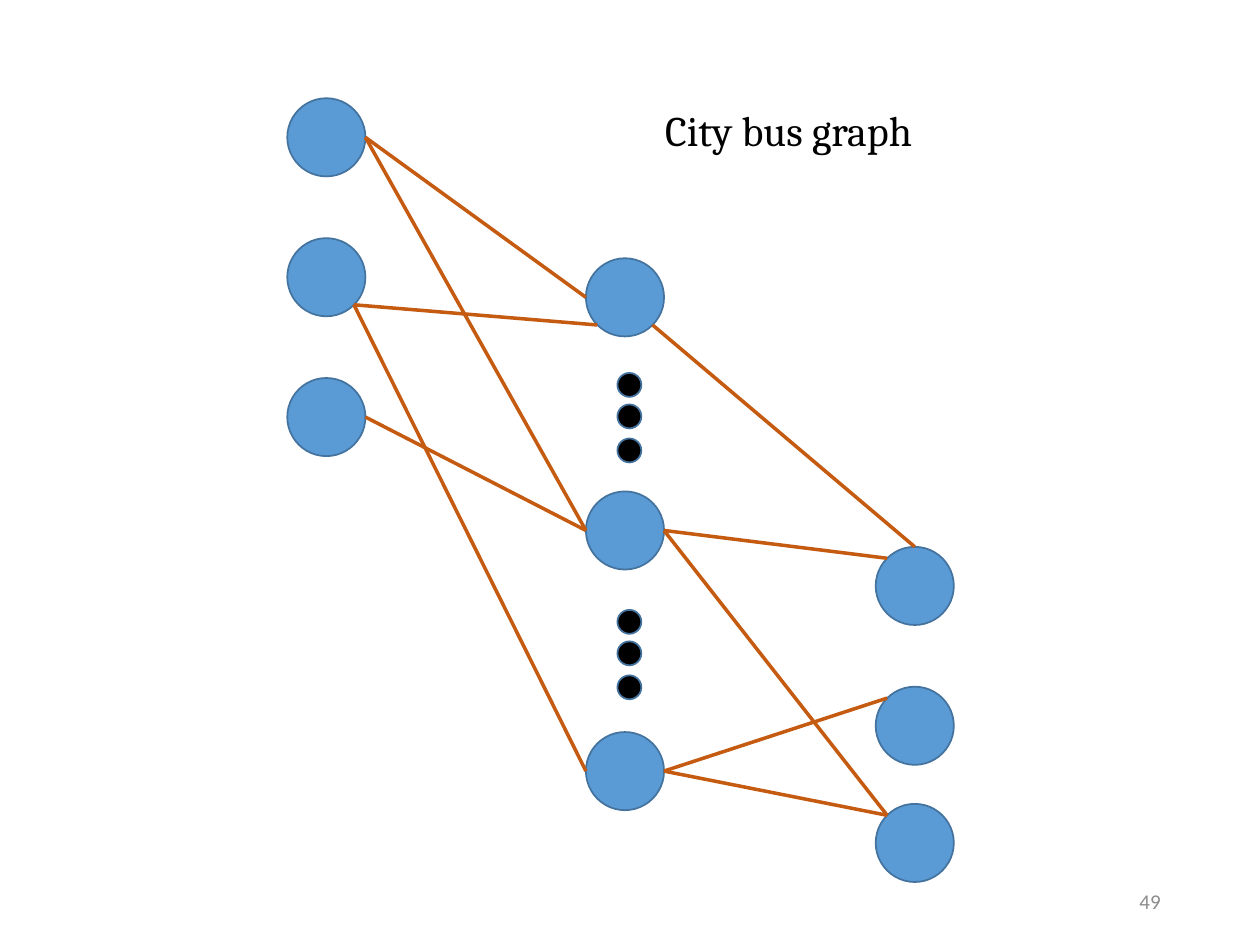
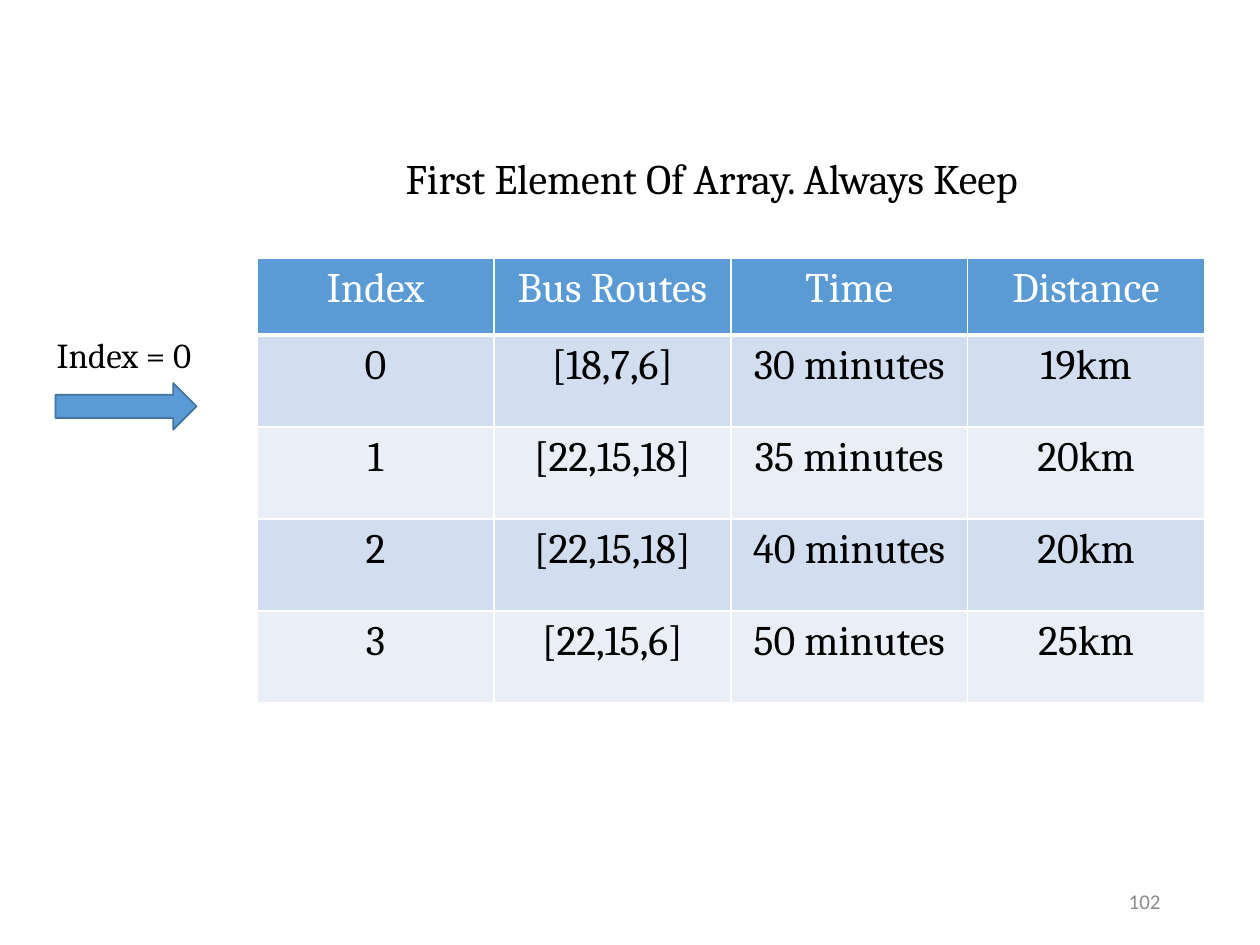
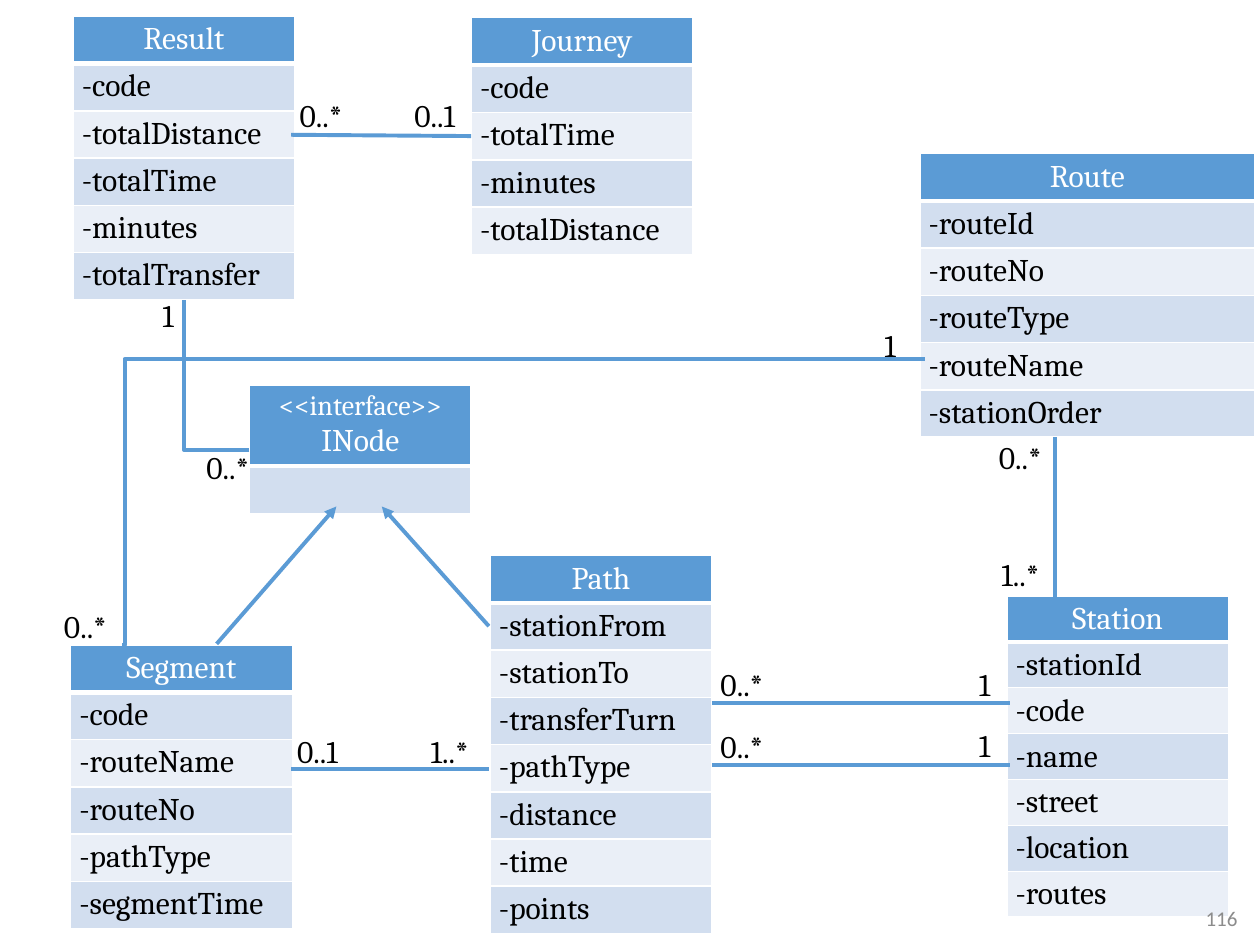
from dataclasses import dataclass
from math import cos, radians, sin

from lxml.etree import SubElement
from pptx import Presentation
from pptx.dml.color import RGBColor
from pptx.enum.shapes import MSO_CONNECTOR, MSO_SHAPE
from pptx.enum.text import MSO_ANCHOR, MSO_AUTO_SIZE, PP_ALIGN
from pptx.oxml.ns import qn
from pptx.util import Inches, Pt


@dataclass(frozen=True)
class Theme:
    blue: str = "5B9BD5"
    outline: str = "43739E"
    orange: str = "C55A11"
    bands: tuple = ("EAEFF7", "D2DEEF")
    white: str = "FFFFFF"
    black: str = "000000"
    grey: str = "8C8C8C"
    serif: str = "Cambria"
    sans: str = "Calibri"
    title: int = 24
    note: int = 20
    label: int = 18
    stereotype: int = 16
    page: int = 12


theme = Theme()


def write(frame, lines, color, font=theme.serif, align=PP_ALIGN.LEFT):
    """Fill a text frame with (text, size) lines."""
    for i, (text, size) in enumerate(lines):
        paragraph = frame.paragraphs[0] if i == 0 else frame.add_paragraph()
        paragraph.alignment = align
        run = paragraph.add_run()
        run.text = text
        run.font.name, run.font.size, run.font.bold = font, Pt(size), False
        run.font.color.rgb = RGBColor.from_string(color)


def add_line(slide, start, end, color, width, arrow=False, bend=None):
    """Draw a straight line, or an elbow turning at the share `bend` of its run."""
    kind = MSO_CONNECTOR.STRAIGHT if bend is None else MSO_CONNECTOR.ELBOW
    line = slide.shapes.add_connector(kind, *[Inches(v) for v in (*start, *end)])
    line.line.color.rgb = RGBColor.from_string(color)
    line.line.width = Pt(width)
    properties = line._element.spPr
    if arrow:
        SubElement(line.line._get_or_add_ln(), qn("a:tailEnd"), type="triangle")
    if bend is not None:
        guides = properties.find(qn("a:prstGeom")).get_or_add_avLst()
        SubElement(guides, qn("a:gd"), name="adj1", fmla=f"val {round(bend * 100000)}")
    SubElement(properties, qn("a:effectLst"))


prs = Presentation()
prs.slide_width, prs.slide_height = Inches(10), Inches(7.5)
graph, array, classes = [prs.slides.add_slide(prs.slide_layouts[6]) for _ in range(3)]

# Graph nodes by column, ellipsis dots and the index arrow
diameter, dot = 0.62, 0.19
columns = {"a": (2.28, (0.78, 1.89, 3)),
           "b": (4.65, (2.05, 3.9, 5.81)),
           "c": (6.95, (4.34, 5.45, 6.38))}
nodes = {f"{name}{i}": (left, top)
         for name, (left, tops) in columns.items()
         for i, top in enumerate(tops, 1)}
figures = [(graph, MSO_SHAPE.OVAL, *place, diameter, diameter, theme.blue)
           for place in nodes.values()]
figures += [(graph, MSO_SHAPE.OVAL, 4.9, first + step, dot, dot, theme.black)
            for first in (2.96, 4.84) for step in (0, 0.25, 0.52)]
figures.append((array, MSO_SHAPE.RIGHT_ARROW, 0.44, 3.04, 1.12, 0.37, theme.blue))
for slide, kind, *place, color in figures:
    figure = slide.shapes.add_shape(kind, *[Inches(v) for v in place])
    figure.shadow.inherit = False
    figure.fill.solid()
    figure.fill.fore_color.rgb = RGBColor.from_string(color)
    figure.line.color.rgb = RGBColor.from_string(theme.outline)
    figure.line.width = Pt(1)

# Graph edges: node and angle on its rim (clockwise from the right) at both ends
edges = [("a1", 0, "b1", 180), ("a1", 0, "b2", 180),
         ("a2", 45, "b1", 135), ("a2", 45, "b3", 180),
         ("a3", 0, "b2", 180), ("b1", 45, "c1", 270),
         ("b2", 0, "c1", 225), ("b2", 0, "c3", 225),
         ("b3", 0, "c2", 225), ("b3", 0, "c3", 225)]
radius = diameter / 2
for origin, leave, target, arrive in edges:
    ends = [(nodes[node][0] + radius * (1 + cos(radians(angle))),
             nodes[node][1] + radius * (1 + sin(radians(angle))))
            for node, angle in ((origin, leave), (target, arrive))]
    add_line(graph, *ends, theme.orange, 2)

# Tables: slide, left, top, column width, header height, row height, margins, rows
routes = [["Index", "Bus Routes", "Time", "Distance"],
          ["0", "[18,7,6]", "30 minutes", "19km"],
          ["1", "[22,15,18]", "35 minutes", "20km"],
          ["2", "[22,15,18]", "40 minutes", "20km"],
          ["3", "[22,15,6]", "50 minutes", "25km"]]
tables = [(array, 2.04, 2.05, 1.88, 0.61, 0.73, (0.1, 0.05, 0.1, 0.05),
           theme.title, PP_ALIGN.CENTER, routes)]
entities = [
    (7.99, 4.73, 1.76, 2.55, "Station",
     "-stationId -code -name -street -location -routes"),
    (3.89, 4.41, 1.76, 3, "Path",
     "-stationFrom -stationTo -transferTurn -pathType -distance -time -points"),
    (7.3, 1.22, 2.66, 2.25, "Route",
     "-routeId -routeNo -routeType -routeName -stationOrder"),
    (0.56, 5.12, 1.76, 2.25, "Segment",
     "-code -routeName -routeNo -pathType -segmentTime"),
    (3.74, 0.14, 1.76, 1.88, "Journey",
     "-code -totalTime -minutes -totalDistance"),
    (0.58, 0.13, 1.76, 2.25, "Result",
     "-code -totalDistance -totalTime -minutes -totalTransfer"),
]
inset = (0.07, 0.04, 0.07, 0.03)
for left, top, width, height, name, fields in entities:
    rows = [[name]] + [[field] for field in fields.split()]
    step = height / len(rows)
    tables.append((classes, left, top, width, step, step, inset,
                   theme.label, PP_ALIGN.LEFT, rows))
tables.append((classes, 1.98, 3.06, 1.76, 0.64, 0.38, inset, theme.label,
               PP_ALIGN.LEFT, [["<<interface>>\nINode"], [""]]))

for slide, left, top, width, header, step, margins, size, align, rows in tables:
    count = len(rows[0])
    height = header + step * (len(rows) - 1)
    table = slide.shapes.add_table(
        len(rows), count, Inches(left), Inches(top),
        Inches(width * count), Inches(height)).table
    for r, values in enumerate(rows):
        table.rows[r].height = Inches(header if r == 0 else step)
        for c, value in enumerate(values):
            cell = table.cell(r, c)
            (cell.margin_left, cell.margin_top,
             cell.margin_right, cell.margin_bottom) = [Inches(m) for m in margins]
            heavy = {0: "lnB", 1: "lnT"}.get(r)
            for side in ("lnL", "lnR", "lnT", "lnB"):
                border = SubElement(cell._tc.get_or_add_tcPr(), qn(f"a:{side}"),
                                    w=str(Pt(3 if side == heavy else 1)))
                fill = SubElement(border, qn("a:solidFill"))
                SubElement(fill, qn("a:srgbClr"), val=theme.white)
            cell.fill.solid()
            cell.fill.fore_color.rgb = RGBColor.from_string(
                theme.bands[r % 2] if r else theme.blue)
            if value:
                lines = [(text, theme.stereotype if text.startswith("<<") else size)
                         for text in value.split("\n")]
                write(cell.text_frame, lines, theme.black if r else theme.white,
                      align=align if r else PP_ALIGN.CENTER)

# Class relations: start, end, arrowhead, bend
relations = [
    ((5.21 + 0.44, 5.58), (8.02, 5.58), False, None),
    ((5.21 + 0.44, 6.07), (8.02, 6.07), False, None),
    ((8.37, 3.47), (8.37, 4.76), False, None),
    ((1.98, 3.57), (1.46, 2.38), False, 1),
    ((2.31, 1.07), (3.74, 1.08), False, None),
    ((1.72, 5.11), (2.67, 4.02), True, None),
    ((7.34, 2.85), (0.97, 5.12), False, 0.997),
    ((3.88, 4.97), (3.03, 4.02), True, None),
    ((2.31, 6.1), (3.88, 6.1), False, None),
]
for start, end, arrow, bend in relations:
    add_line(classes, start, end, theme.blue, 2.25, arrow, bend)

# Captions and multiplicities
captions = [
    (graph, 5.18, 0.78, 2.27, 0.5, "City bus graph", theme.title),
    (array, 3.12, 1.16, 5.35, 0.5, "First Element Of Array. Always Keep", theme.title),
    (array, 0.35, 2.6, 1.31, 0.44, "Index = 0", theme.note),
]
multiplicities = {
    "0..*": (0.56, [(5.62, 5.23), (5.62, 5.72), (7.83, 3.43),
                    (0.41, 4.77), (1.54, 3.51), (2.28, 0.71)]),
    "1..*": (0.56, [(7.85, 4.36), (3.32, 5.76)]),
    "0..1": (0.59, [(3.19, 0.71), (2.26, 5.76)]),
    "1": (0.34, [(7.67, 5.23), (7.67, 5.71), (1.19, 2.3), (6.92, 2.54)]),
}
captions += [(classes, *place, width, 0.4, text, theme.label)
             for text, (width, places) in multiplicities.items()
             for place in places]
for slide, *place, text, size in captions:
    frame = slide.shapes.add_textbox(*[Inches(v) for v in place]).text_frame
    frame.word_wrap = False
    frame.auto_size = MSO_AUTO_SIZE.SHAPE_TO_FIT_TEXT
    write(frame, [(text, size)], theme.black)

# Page numbers
for slide, left, top, number in ((graph, 7.06, 6.95, "49"),
                                 (array, 7.06, 6.95, "102"),
                                 (classes, 7.67, 7.09, "116")):
    frame = slide.shapes.add_textbox(
        Inches(left), Inches(top), Inches(2.25), Inches(0.4)).text_frame
    frame.word_wrap = True
    frame.vertical_anchor = MSO_ANCHOR.MIDDLE
    write(frame, [(number, theme.page)], theme.grey, theme.sans, PP_ALIGN.RIGHT)

prs.save("out.pptx")
